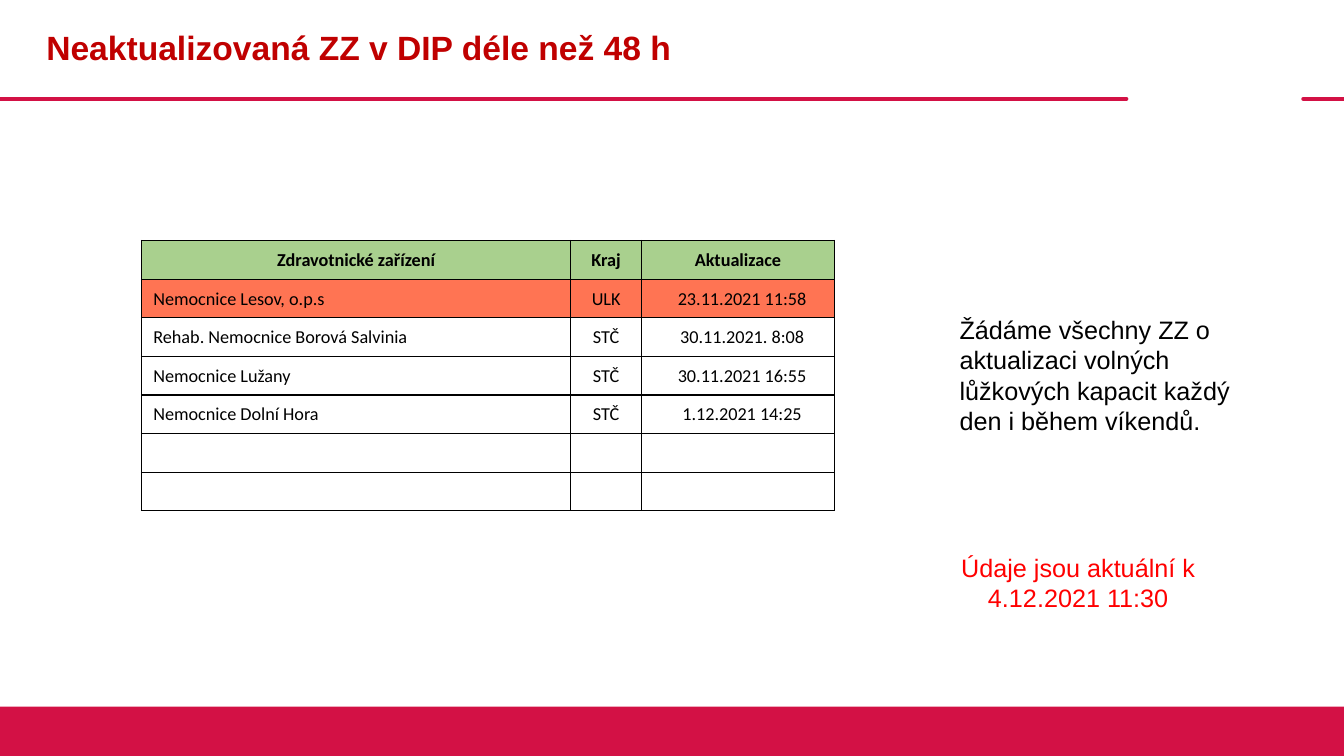
from lxml.etree import SubElement
from pptx import Presentation
from pptx.dml.color import RGBColor
from pptx.enum.shapes import MSO_CONNECTOR as Connector, MSO_SHAPE as Shape
from pptx.enum.text import MSO_ANCHOR as Anchor, PP_ALIGN as Align
from pptx.oxml.ns import qn
from pptx.util import Pt

CRIMSON = "D31145"
BLACK = "000000"
GREEN = "A9D08E"
ORANGE = "FF7453"
COLUMN_WIDTHS = [306.6, 50.7, 137.7]
ROW_HEIGHT = 27.6
ROWS = [
    ("Zdravotnické zařízení", "Kraj", "Aktualizace"),
    ("Nemocnice Lesov, o.p.s", "ULK", "23.11.2021 11:58"),
    ("Rehab. Nemocnice Borová Salvinia", "STČ", "30.11.2021. 8:08"),
    ("Nemocnice Lužany", "STČ", "30.11.2021 16:55"),
    ("Nemocnice Dolní Hora", "STČ", "1.12.2021 14:25"),
    ("", "", ""),
    ("", "", ""),
]
ROW_FILLS = {0: GREEN, 1: ORANGE}


def color(code):
    return RGBColor.from_string(code)


def write(frame, text, size=18, font="Arial", ink=BLACK, bold=False,
          align=Align.LEFT, spacing=None):
    para = frame.paragraphs[0]
    para.alignment = align
    para.line_spacing = spacing
    if text:
        span = para.add_run()
        span.text = text
        span.font.size = Pt(size)
        span.font.name = font
        span.font.bold = bold
        span.font.color.rgb = color(ink)


def add_text(page, left, top, width, height, text, anchor=Anchor.TOP, **style):
    box = page.shapes.add_textbox(Pt(left), Pt(top), Pt(width), Pt(height))
    frame = box.text_frame
    frame.word_wrap = True
    frame.vertical_anchor = anchor
    write(frame, text, **style)


def add_rule(page, start, end, y):
    rule = page.shapes.add_connector(
        Connector.STRAIGHT, Pt(start), Pt(y), Pt(end), Pt(y))
    rule.line.color.rgb = color(CRIMSON)
    rule.line.width = Pt(3)
    rule.line._get_or_add_ln().set("cap", "rnd")
    SubElement(rule._element.spPr, qn("a:effectLst"))


def add_band(page, left, top, width, height):
    band = page.shapes.add_shape(
        Shape.RECTANGLE, Pt(left), Pt(top), Pt(width), Pt(height))
    band.shadow.inherit = False
    band.fill.solid()
    band.fill.fore_color.rgb = color(CRIMSON)
    band.line.fill.background()


def add_borders(cell):
    properties = cell._tc.get_or_add_tcPr()
    for side in ("a:lnL", "a:lnR", "a:lnT", "a:lnB"):
        line = SubElement(properties, qn(side), w=str(Pt(1)))
        fill = SubElement(line, qn("a:solidFill"))
        SubElement(fill, qn("a:srgbClr"), val=BLACK)


def format_cell(cell, text, left_margin, fill, **style):
    add_borders(cell)
    cell.margin_left = Pt(left_margin)
    cell.margin_top = cell.margin_right = Pt(0.7)
    cell.margin_bottom = Pt(0)
    cell.vertical_anchor = Anchor.MIDDLE
    if fill:
        cell.fill.solid()
        cell.fill.fore_color.rgb = color(fill)
    else:
        cell.fill.background()
    write(cell.text_frame, text, size=13, font="Calibri", **style)


def add_hospital_table(page, left, top):
    table = page.shapes.add_table(
        len(ROWS), len(COLUMN_WIDTHS), Pt(left), Pt(top),
        Pt(sum(COLUMN_WIDTHS)), Pt(ROW_HEIGHT * len(ROWS))).table
    table.horz_banding = False
    for column, width in zip(table.columns, COLUMN_WIDTHS):
        column.width = Pt(width)
    for r, texts in enumerate(ROWS):
        table.rows[r].height = Pt(ROW_HEIGHT)
        header = r == 0
        margins = (0.7, 0.7, 0.7) if header else (8.6, 0.7, 6.5)
        for c, text in enumerate(texts):
            align = Align.CENTER if header or c else Align.LEFT
            format_cell(table.cell(r, c), text, margins[c], ROW_FILLS.get(r),
                        bold=header, align=align)


def main():
    deck = Presentation()
    deck.slide_width, deck.slide_height = Pt(960), Pt(540)
    page = deck.slides.add_slide(deck.slide_layouts[6])
    add_rule(page, 0, 804.5, 70.6)
    add_rule(page, 931, 960, 70.6)
    add_band(page, 0, 504.7, 960, 35.3)
    add_text(page, 26, 0, 778, 70.6, "Neaktualizovaná ZZ v DIP déle než 48 h",
             anchor=Anchor.MIDDLE, size=24, ink="C00000", bold=True, spacing=0.9)
    add_text(page, 678.3, 391, 183.6, 51, "Údaje jsou aktuální k 4.12.2021 11:30",
             ink="FF0000", align=Align.CENTER)
    add_text(page, 678.3, 221, 215.3, 94.3,
             "Žádáme všechny ZZ o aktualizaci volných lůžkových kapacit "
             "každý den i během víkendů.")
    add_hospital_table(page, 101, 171.8)
    deck.save("out.pptx")


if __name__ == "__main__":
    main()
